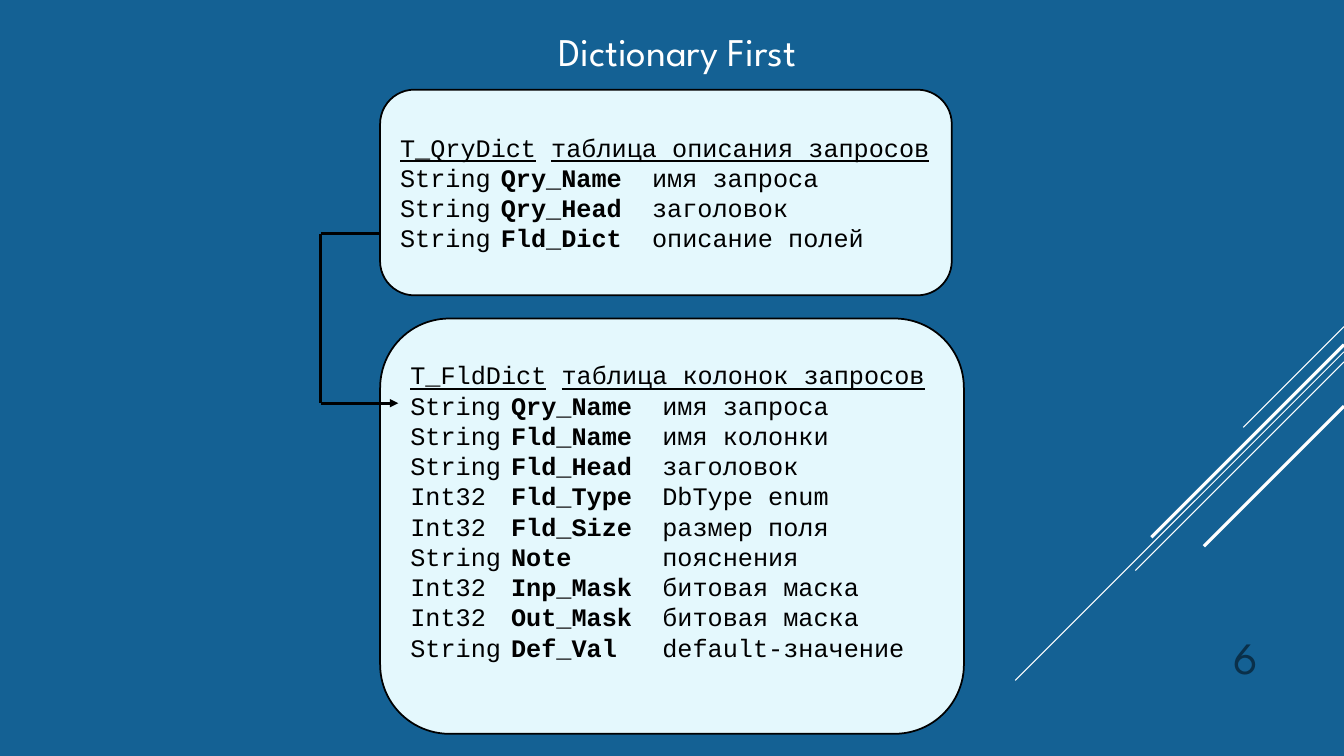
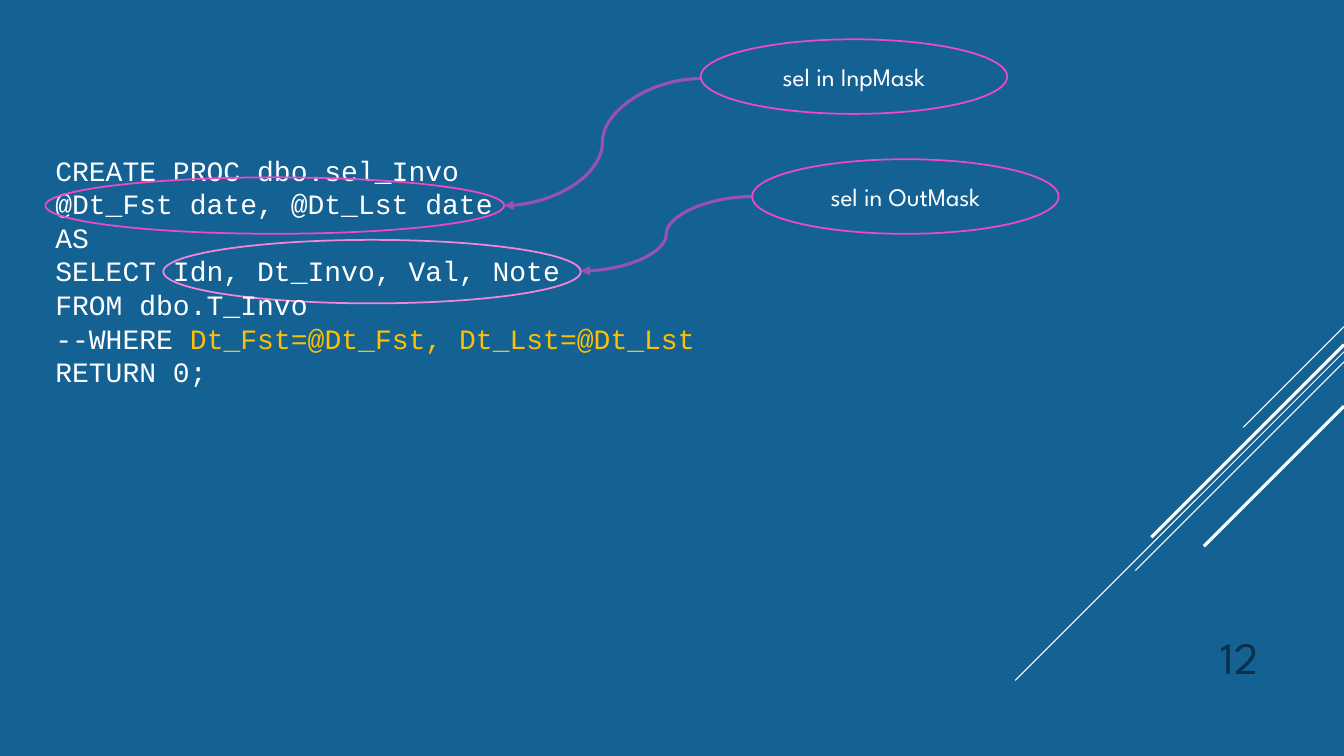
from dataclasses import dataclass
from typing import NamedTuple, Optional

from lxml.etree import SubElement
from pptx import Presentation
from pptx.dml.color import RGBColor
from pptx.enum.shapes import MSO_CONNECTOR, MSO_SHAPE
from pptx.enum.text import MSO_ANCHOR, PP_ALIGN
from pptx.oxml.ns import qn
from pptx.util import Inches, Pt

PAGE_WIDTH, PAGE_HEIGHT = 13.33, 7.5


@dataclass(frozen=True)
class Theme:
    background: str = "146194"
    white: str = "FFFFFF"
    black: str = "000000"
    panel: str = "E4F8FD"
    pink: str = "EF48C9"
    light_pink: str = "F585DB"
    amber: str = "FFC000"
    number: str = "0A304A"
    sans: str = "League Spartan"
    mono: str = "Courier New"
    title_size: int = 28
    number_size: int = 32
    code_size: int = 20
    body_size: int = 18
    outline: float = 1.25


THEME = Theme()


class Area(NamedTuple):
    left: float
    top: float
    width: float
    height: float


class Point(NamedTuple):
    x: float
    y: float


class Stripe(NamedTuple):
    """A 45-degree line running down and left from the right page edge."""
    top: float
    reach: float
    weight: float


class Field(NamedTuple):
    kind: str
    name: str
    meaning: str


class DictionaryTable(NamedTuple):
    area: Area
    name: str
    meaning: str
    fields: list[Field]
    bottom_inset: float = 0.05


class Callout(NamedTuple):
    area: Area
    label: str
    arrow_start: Point
    arrow_end: Point


STRIPES = [
    Stripe(3.24, 1.0, 0.75),
    Stripe(3.49, 3.26, 0.75),
    Stripe(3.59, 2.07, 0.75),
    Stripe(3.42, 1.91, 2.25),
    Stripe(4.03, 1.39, 2.25),
]

TABLES = [
    DictionaryTable(Area(3.77, 0.89, 5.67, 2.04), "T_QryDict", "таблица описания запросов", [
        Field("String", "Qry_Name", "имя запроса"),
        Field("String", "Qry_Head", "заголовок"),
        Field("String", "Fld_Dict", "описание полей"),
    ]),
    DictionaryTable(Area(3.77, 3.16, 5.79, 4.12), "T_FldDict", "таблица колонок запросов", [
        Field("String", "Qry_Name", "имя запроса"),
        Field("String", "Fld_Name", "имя колонки"),
        Field("String", "Fld_Head", "заголовок"),
        Field("Int32", "Fld_Type", "DbType enum"),
        Field("Int32", "Fld_Size", "размер поля"),
        Field("String", "Note", "пояснения"),
        Field("Int32", "Inp_Mask", "битовая маска"),
        Field("Int32", "Out_Mask", "битовая маска"),
        Field("String", "Def_Val", "default-значение"),
    ], bottom_inset=0.35),
]

LINK_ROUTE = [Point(3.77, 2.32), Point(3.18, 2.32), Point(3.18, 4), Point(3.95, 4)]

CODE = [
    [("CREATE PROC dbo.sel_Invo", THEME.white)],
    [("@Dt_Fst date, @Dt_Lst date", THEME.white)],
    [("AS", THEME.white)],
    [("SELECT Idn, Dt_Invo, Val, Note", THEME.white)],
    [("FROM dbo.T_Invo", THEME.white)],
    [("--WHERE ", THEME.white), ("Dt_Fst=@Dt_Fst, Dt_Lst=@Dt_Lst", THEME.amber)],
    [("RETURN 0;", THEME.white)],
]

CALLOUTS = [
    Callout(Area(7.46, 1.58, 3.04, 0.74), "sel in OutMask", Point(7.46, 1.95), Point(5.76, 2.69)),
    Callout(Area(6.95, 0.39, 3.04, 0.74), "sel in InpMask", Point(6.95, 0.78), Point(5, 2.04)),
]


def color(value: str) -> RGBColor:
    return RGBColor.from_string(value)


def inches(values) -> list:
    return [Inches(value) for value in values]


def add_span(para, text: str, *, size: float, font: str = THEME.sans, ink: str = THEME.white,
             bold: bool = False, underline: bool = False) -> None:
    span = para.add_run()
    span.text = text
    span.font.name = font
    span.font.size = Pt(size)
    span.font.color.rgb = color(ink)
    span.font.bold = bold
    span.font.underline = underline


def next_para(frame, index: int):
    return frame.paragraphs[0] if index == 0 else frame.add_paragraph()


def set_tabs(para, *stops: float) -> None:
    tabs = SubElement(para._p.get_or_add_pPr(), qn("a:tabLst"))
    for stop in stops:
        SubElement(tabs, qn("a:tab"), pos=str(Inches(stop)), algn="l")


def add_text(page, area: Area, *, anchor=MSO_ANCHOR.TOP):
    box = page.shapes.add_textbox(*inches(area))
    box.text_frame.word_wrap = True
    box.text_frame.vertical_anchor = anchor
    return box.text_frame


def add_label(page, area: Area, text: str, *, align, anchor=MSO_ANCHOR.TOP, **style) -> None:
    para = add_text(page, area, anchor=anchor).paragraphs[0]
    para.alignment = align
    add_span(para, text, **style)


def add_outlined(page, kind, area: Area, *, line: str, fill: Optional[str] = None):
    shape = page.shapes.add_shape(kind, *inches(area))
    shape.shadow.inherit = False
    if fill:
        shape.fill.solid()
        shape.fill.fore_color.rgb = color(fill)
    else:
        shape.fill.background()
    shape.line.color.rgb = color(line)
    shape.line.width = Pt(THEME.outline)
    shape.text_frame.word_wrap = True
    shape.text_frame.vertical_anchor = MSO_ANCHOR.MIDDLE
    return shape


def add_line(shapes, start: Point, end: Point, *, ink: str, weight: float,
             kind=MSO_CONNECTOR.STRAIGHT, arrow: bool = False, opacity: int = 100) -> None:
    line = shapes.add_connector(kind, *inches(start), *inches(end))
    line.line.color.rgb = color(ink)
    line.line.width = Pt(weight)
    properties = line._element.spPr
    SubElement(properties, qn("a:effectLst"))
    outline = properties.find(qn("a:ln"))
    if opacity < 100:
        SubElement(outline.find(".//" + qn("a:srgbClr")), qn("a:alpha"), val=str(opacity * 1000))
    if arrow:
        SubElement(outline, qn("a:tailEnd"), type="triangle")


def add_page(deck):
    """Adds a blank page with the diagonal stripes."""
    page = deck.slides.add_slide(deck.slide_layouts[6])
    group = page.shapes.add_group_shape()
    for stripe in STRIPES:
        end = Point(PAGE_WIDTH - stripe.reach, stripe.top + stripe.reach)
        add_line(group.shapes, Point(PAGE_WIDTH, stripe.top), end,
                 ink=THEME.white, weight=stripe.weight)
    return page


def add_page_number(page, number: int) -> None:
    add_label(page, Area(11.33, 6.1, 1.25, 0.73), str(number), align=PP_ALIGN.RIGHT,
              anchor=MSO_ANCHOR.BOTTOM, size=THEME.number_size, ink=THEME.number)


def add_dictionary_table(page, table: DictionaryTable) -> None:
    style = dict(size=THEME.body_size, font=THEME.mono, ink=THEME.black)
    panel = add_outlined(page, MSO_SHAPE.ROUNDED_RECTANGLE, table.area,
                         line=THEME.black, fill=THEME.panel)
    frame = panel.text_frame
    frame.margin_bottom = Inches(table.bottom_inset)
    heading = next_para(frame, 0)
    heading.alignment = PP_ALIGN.LEFT
    set_tabs(heading, 1.5)
    add_span(heading, f"{table.name}\t{table.meaning}", underline=True, **style)
    for index, field in enumerate(table.fields, start=1):
        para = next_para(frame, index)
        para.alignment = PP_ALIGN.LEFT
        set_tabs(para, 1.0, 2.5)
        add_span(para, f"{field.kind}\t", **style)
        add_span(para, f"{field.name}\t", bold=True, **style)
        add_span(para, field.meaning, **style)


def add_callout(page, callout: Callout) -> None:
    oval = add_outlined(page, MSO_SHAPE.OVAL, callout.area,
                        line=THEME.pink, fill=THEME.background)
    para = oval.text_frame.paragraphs[0]
    para.alignment = PP_ALIGN.CENTER
    add_span(para, callout.label, size=THEME.body_size)
    add_line(page.shapes, callout.arrow_start, callout.arrow_end, ink=THEME.pink, weight=2.25,
             kind=MSO_CONNECTOR.CURVE, arrow=True, opacity=60)


def build_dictionary_page(deck) -> None:
    page = add_page(deck)
    for table in TABLES:
        add_dictionary_table(page, table)
    for start, end in zip(LINK_ROUTE, LINK_ROUTE[1:]):
        add_line(page.shapes, start, end, ink=THEME.black, weight=2,
                 arrow=end == LINK_ROUTE[-1])
    add_label(page, Area(0.29, 0.22, 12.85, 0.57), "Dictionary First",
              align=PP_ALIGN.CENTER, size=THEME.title_size)
    add_page_number(page, 6)


def build_procedure_page(deck) -> None:
    page = add_page(deck)
    add_outlined(page, MSO_SHAPE.OVAL, Area(1.62, 2.38, 4.14, 0.63),
                 line=THEME.light_pink, fill=THEME.background)
    frame = add_text(page, Area(0.45, 1.47, 11.4, 2.46))
    for index, spans in enumerate(CODE):
        para = next_para(frame, index)
        for text, ink in spans:
            add_span(para, text, size=THEME.code_size, font=THEME.mono, ink=ink)
    for callout in CALLOUTS:
        add_callout(page, callout)
    add_outlined(page, MSO_SHAPE.OVAL, Area(0.45, 1.76, 4.55, 0.56), line=THEME.pink)
    add_page_number(page, 12)


def main() -> None:
    deck = Presentation()
    deck.slide_width, deck.slide_height = Inches(PAGE_WIDTH), Inches(PAGE_HEIGHT)
    backdrop = deck.slide_master.background.fill
    backdrop.solid()
    backdrop.fore_color.rgb = color(THEME.background)
    build_dictionary_page(deck)
    build_procedure_page(deck)
    deck.save("out.pptx")


if __name__ == "__main__":
    main()
